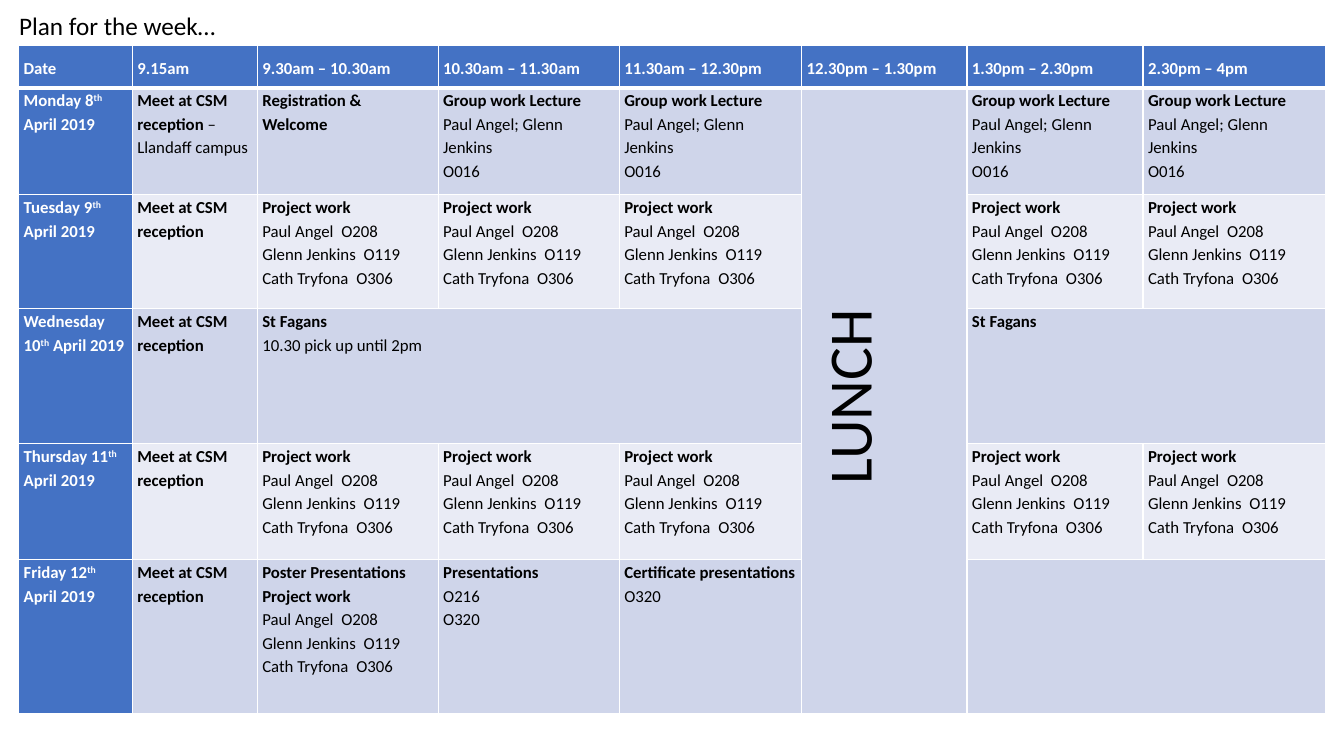
from lxml import etree
from pptx import Presentation
from pptx.dml.color import RGBColor
from pptx.enum.text import MSO_ANCHOR, MSO_AUTO_SIZE, PP_ALIGN
from pptx.oxml.ns import qn
from pptx.util import Pt

TOP, MIDDLE = MSO_ANCHOR.TOP, MSO_ANCHOR.MIDDLE
LEFT, CENTER = PP_ALIGN.LEFT, PP_ALIGN.CENTER
GROW = MSO_AUTO_SIZE.SHAPE_TO_FIT_TEXT
BLUE = RGBColor(0x44, 0x72, 0xC4)
DARK_BAND = RGBColor(0xCF, 0xD5, 0xEA)
LIGHT_BAND = RGBColor(0xE9, 0xEB, 0xF5)
WHITE = RGBColor(0xFF, 0xFF, 0xFF)
BLACK = RGBColor(0, 0, 0)

BOLD, REGULAR = {"b": "1"}, {"b": "0"}
RAISED = {"b": "1", "baseline": "30000"}
WIDE_GAP = {"b": "0", "spc": "270"}

COLUMN_WIDTHS = [81.2, 89.3, 129.2, 129.4, 130.3, 118.1, 125.8, 130.2]
ROW_HEIGHTS = [30.2, 76.3, 81.4, 96.5, 82.8, 110.1]
LUNCH_COLUMN = 5

HEADINGS = ["Date", "9.15am", "9.30am – 10.30am", "10.30am – 11.30am",
            "11.30am – 12.30pm", "12.30pm – 1.30pm", "1.30pm – 2.30pm", "2.30pm – 4pm"]
DAYS = ["Monday 8", "Tuesday 9", "Wednesday 10", "Thursday 11", "Friday 12"]
TUTOR_ROOMS = [("Paul Angel", "O208"), ("Glenn Jenkins", "O119"), ("Cath Tryfona", "O306")]

PROJECT = [[("Project work", BOLD)]] + [
    [(tutor, REGULAR), (" ", WIDE_GAP), (room, REGULAR)] for tutor, room in TUTOR_ROOMS]
LECTURE = [[("Group work Lecture", BOLD)], [("Paul Angel; Glenn Jenkins", REGULAR)],
           [("O016", REGULAR)]]
MEET = [[("Meet at CSM reception", BOLD)]]
MEET_CAMPUS = [[("Meet at CSM reception ", BOLD), ("– Llandaff campus", REGULAR)]]
WELCOME = [[("Registration &", BOLD)], [("Welcome", BOLD)]]
TRIP = [[("St Fagans", BOLD)]]
TRIP_PICK_UP = TRIP + [[("10.30 pick up until 2pm", REGULAR)]]
POSTERS = [[("Poster Presentations", BOLD)]] + PROJECT
PRESENTATIONS = [[("Presentations", BOLD)], [("O216", REGULAR)], [("O320", REGULAR)]]
CERTIFICATES = [[("Certificate presentations", BOLD)], [("O320", REGULAR)]]
LUNCH = [[("LUNCH", REGULAR)]]

SESSIONS = [
    [MEET_CAMPUS, WELCOME, LECTURE, LECTURE, LUNCH, LECTURE, LECTURE],
    [MEET, PROJECT, PROJECT, PROJECT, [], PROJECT, PROJECT],
    [MEET, TRIP_PICK_UP, [], [], [], TRIP, []],
    [MEET, PROJECT, PROJECT, PROJECT, [], PROJECT, PROJECT],
    [MEET, POSTERS, PRESENTATIONS, CERTIFICATES, [], [], []],
]
schedule = [[[[(heading, BOLD)]] for heading in HEADINGS]]
for day, sessions in zip(DAYS, SESSIONS):
    date = [[(day, BOLD), ("th", RAISED), (" April 2019", BOLD)]]
    schedule.append([date] + sessions)


def style_cell(cell, fill_color, anchor, bottom_width):
    cell.vertical_anchor = anchor
    for name, value in {"margin_left": 3.6, "margin_right": 3.6,
                        "margin_top": 0, "margin_bottom": 0}.items():
        setattr(cell, name, Pt(value))
    properties = cell._tc.get_or_add_tcPr()
    for side, width in {"lnL": 1, "lnR": 1, "lnT": 1, "lnB": bottom_width}.items():
        line = etree.SubElement(properties, qn("a:" + side), w=str(Pt(width)))
        solid = etree.SubElement(line, qn("a:solidFill"))
        etree.SubElement(solid, qn("a:srgbClr"), val=str(WHITE))
    cell.fill.solid()
    cell.fill.fore_color.rgb = fill_color


def write_lines(text_frame, lines, size, color):
    for index, line in enumerate(lines):
        paragraph = text_frame.add_paragraph() if index else text_frame.paragraphs[0]
        paragraph.line_spacing = 1.15
        for text, attributes in line:
            run = paragraph.add_run()
            run.text = text
            run.font.name = "Calibri"
            run.font.size = Pt(size)
            run.font.color.rgb = color
            for name, value in attributes.items():
                run._r.get_or_add_rPr().set(name, value)


presentation = Presentation()
presentation.slide_width = Pt(960)
presentation.slide_height = Pt(540)
slide = presentation.slides.add_slide(presentation.slide_layouts[5])

title = slide.shapes.title
for name, value in {"left": 6.5, "top": 3.6, "width": 157.7, "height": 28.8}.items():
    setattr(title, name, Pt(value))
title.text_frame.text = "Plan for the week…"
for name, value in {"word_wrap": False, "auto_size": GROW, "vertical_anchor": TOP}.items():
    setattr(title.text_frame, name, value)
title_paragraph = title.text_frame.paragraphs[0]
title_paragraph.alignment = LEFT
title_paragraph.font.name = "Calibri"
title_paragraph.font.size = Pt(18)
title_paragraph.font.color.rgb = BLACK

table = slide.shapes.add_table(
    len(ROW_HEIGHTS), len(COLUMN_WIDTHS), Pt(13.3), Pt(32.6),
    Pt(sum(COLUMN_WIDTHS)), Pt(sum(ROW_HEIGHTS))).table
for column, width in zip(table.columns, COLUMN_WIDTHS):
    column.width = Pt(width)
for row, height in zip(table.rows, ROW_HEIGHTS):
    row.height = Pt(height)

for row_index, row_cells in enumerate(schedule):
    for column_index, lines in enumerate(row_cells):
        cell = table.cell(row_index, column_index)
        is_header = row_index == 0
        is_blue = is_header or column_index == 0
        is_lunch = lines is LUNCH
        band = DARK_BAND if row_index % 2 or column_index == LUNCH_COLUMN else LIGHT_BAND
        if row_index == 3 or row_index == 5:
            band = DARK_BAND
        style_cell(cell, BLUE if is_blue else band,
                   MIDDLE if is_header or is_lunch else TOP, 3 if is_header else 1)
        write_lines(cell.text_frame, lines, 44 if is_lunch else 12,
                    WHITE if is_blue else BLACK)

for first_row, first_column, last_row, last_column in [
        (1, LUNCH_COLUMN, 5, LUNCH_COLUMN), (3, 2, 3, 4), (3, 6, 3, 7), (5, 6, 5, 7)]:
    table.cell(first_row, first_column).merge(table.cell(last_row, last_column))

lunch_cell = table.cell(1, LUNCH_COLUMN)
lunch_cell._tc.get_or_add_tcPr().set("vert", "vert270")
lunch_paragraph = lunch_cell.text_frame.paragraphs[0]
lunch_paragraph.alignment = CENTER
lunch_paragraph._p.get_or_add_pPr().set("marL", str(Pt(5.65)))

presentation.save("out.pptx")
